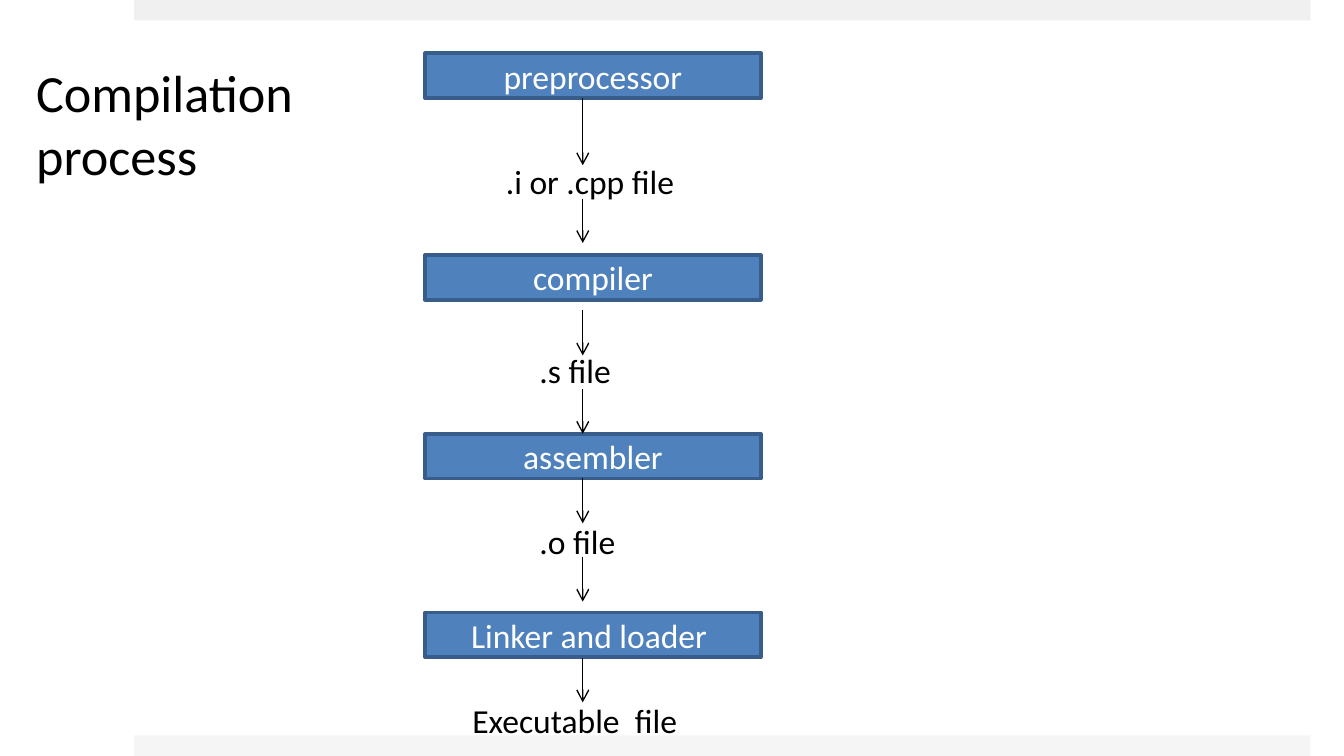
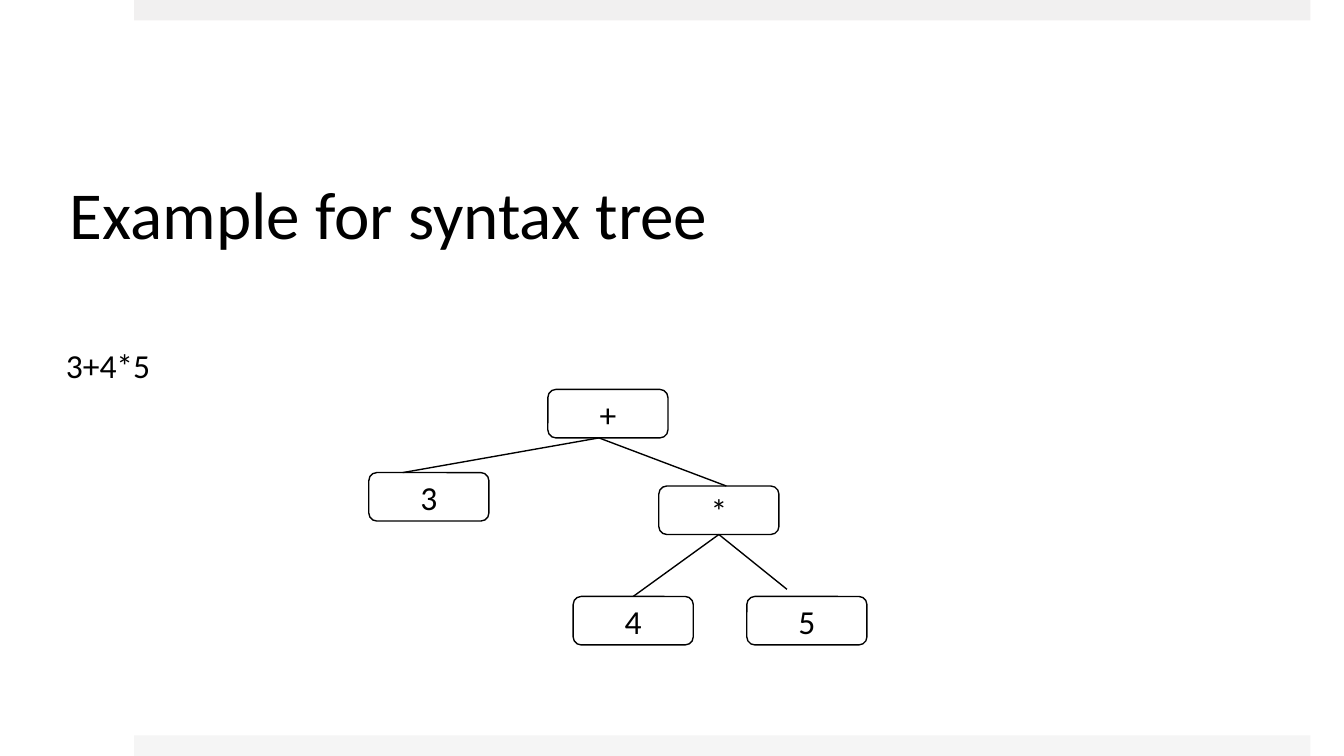
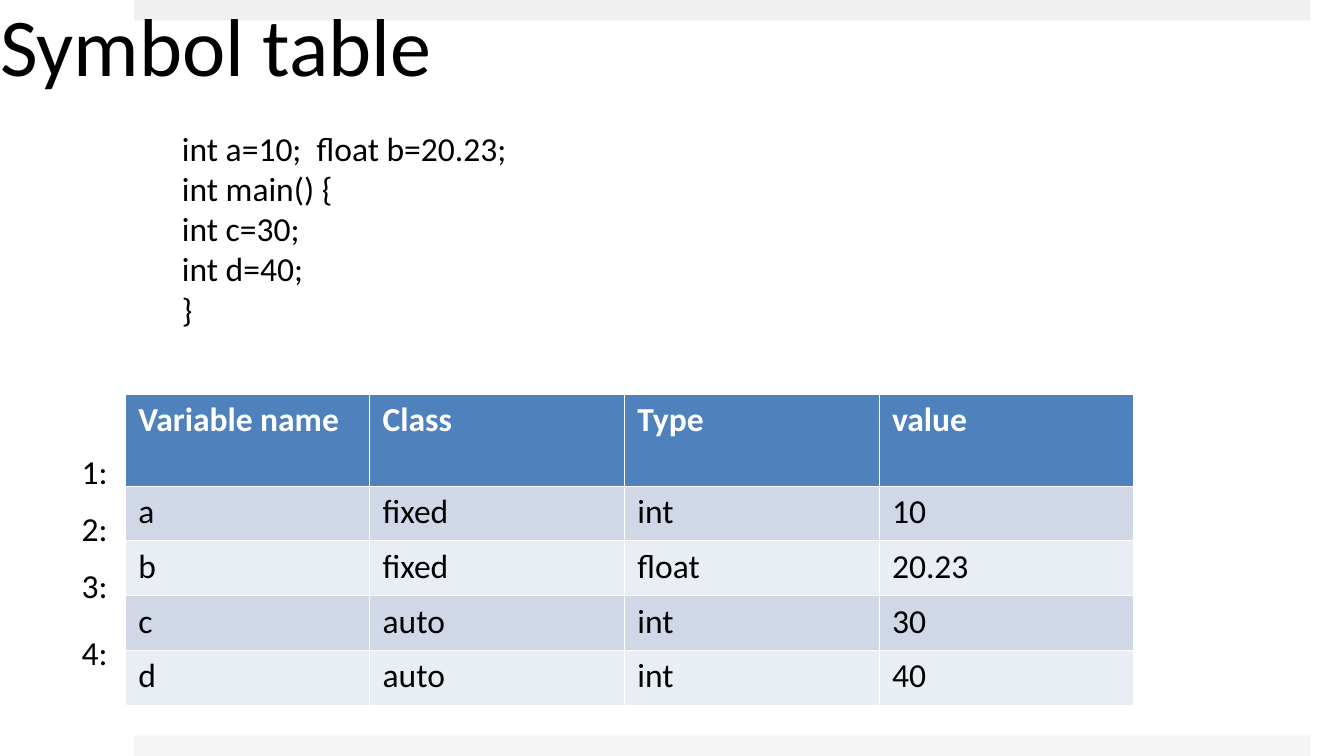
from dataclasses import dataclass

from lxml.etree import SubElement
from pptx import Presentation
from pptx.dml.color import RGBColor
from pptx.enum.shapes import MSO_CONNECTOR, MSO_SHAPE
from pptx.enum.text import MSO_ANCHOR, MSO_AUTO_SIZE, PP_ALIGN
from pptx.oxml import parse_xml
from pptx.oxml.ns import nsdecls, qn
from pptx.shapes.autoshape import Shape
from pptx.shapes.connector import Connector
from pptx.slide import Slide, SlideLayout
from pptx.text.text import TextFrame
from pptx.util import Pt

COLORS = {
    "black": "000000",
    "white": "FFFFFF",
    "blue": "4F81BD",
    "outline": "385D8A",
    "odd_row": "D0D8E8",
    "even_row": "E9EDF4",
    "top_band": "F1F0F0",
    "bottom_band": "F5F5F5",
}
FONT = "Calibri"
BODY_SIZE = 18
PAGE_WIDTH, PAGE_HEIGHT = 720.72, 405.36
BAND_HEIGHT = 11


@dataclass(frozen=True)
class Area:
    left: float
    top: float
    width: float
    height: float

    def lengths(self) -> tuple[Pt, Pt, Pt, Pt]:
        return Pt(self.left), Pt(self.top), Pt(self.width), Pt(self.height)


@dataclass(frozen=True)
class Label:
    text: str
    area: Area


@dataclass(frozen=True)
class BoxStyle:
    shape: MSO_SHAPE
    fill: str
    line: str
    line_width: float
    font: str
    wrap: bool


@dataclass(frozen=True)
class Branch:
    start: tuple[float, float]
    end: tuple[float, float]
    parent: str = ""
    child: str = ""


STAGE_STYLE = BoxStyle(MSO_SHAPE.RECTANGLE, "blue", "outline", 2, "white", True)
NODE_STYLE = BoxStyle(MSO_SHAPE.ROUNDED_RECTANGLE, "white", "black", 0.75, "black", False)

STAGES = [
    Label(text, Area(228, top, 180, 24))
    for text, top in [
        ("preprocessor", 28.6),
        ("compiler", 136.8),
        ("assembler", 232.6),
        ("Linker and loader ", 328.4),
    ]
]
FILES = [
    Label(".i or .cpp file", Area(264.2, 82.8, 114, 29)),
    Label(".s file", Area(282.2, 184.3, 90, 29)),
    Label(".o file", Area(282.2, 275.8, 90, 29)),
    Label("Executable  file", Area(246.2, 371.5, 156, 29)),
]
ARROW_LEFT = 312.5
ARROW_SPANS = [
    (52.6, 88.6),
    (106.6, 130.3),
    (166.3, 190.6),
    (208.8, 232.6),
    (256.3, 280.6),
    (298.8, 322.6),
    (352.8, 376.6),
]

NODES = [
    Label(text, Area(left, top, 64.4, 26))
    for text, left, top in [
        ("+", 293.8, 208.8),
        ("3", 197.8, 253.4),
        ("*", 353.3, 260.6),
        ("4", 307.4, 319.8),
        ("5", 400.5, 319.8),
    ]
]
BRANCHES = [
    Branch((321.2, 234.8), (216, 253.4)),
    Branch((321.2, 234.8), (389.5, 260.6)),
    Branch((385.5, 286.6), (339.6, 319.8), "*", "4"),
    Branch((385.5, 286.6), (422, 316), "*"),
]

CODE = ["int a=10;  float b=20.23;", "int main() {", "int c=30;", "int d=40;", "}"]
SYMBOLS = [
    ("Variable name", "Class", "Type", "value"),
    ("a", "fixed", "int", "10"),
    ("b", "fixed", "float", "20.23"),
    ("c", "auto", "int", "30"),
    ("d", "auto", "int", "40"),
]
COLUMN_WIDTHS = [131, 136.6, 136.6, 136.6]
ROW_HEIGHTS = [49.2] + [29.4] * 4
ROW_NUMBER_TOPS = [238.3, 268.6, 299.5, 335.5]


def color(name: str) -> RGBColor:
    return RGBColor.from_string(COLORS[name])


def write(
    frame: TextFrame,
    lines: list[str],
    size: float = BODY_SIZE,
    font: str = "black",
    align: PP_ALIGN = PP_ALIGN.LEFT,
) -> None:
    frame.text = "\n".join(lines)
    for para in frame.paragraphs:
        para.alignment = align
        para.font.name = FONT
        para.font.size = Pt(size)
        para.font.color.rgb = color(font)


def add_title(page: Slide, text: str, area: Area, size: float) -> TextFrame:
    title = page.shapes.title
    title.left, title.top, title.width, title.height = area.lengths()
    frame = title.text_frame
    frame.auto_size = MSO_AUTO_SIZE.NONE
    frame.vertical_anchor = MSO_ANCHOR.TOP
    write(frame, [text], size)
    return frame


def add_text(page: Slide, lines: list[str], area: Area) -> None:
    frame = page.shapes.add_textbox(*area.lengths()).text_frame
    frame.word_wrap = True
    write(frame, lines)


def add_box(page: Slide, label: Label, style: BoxStyle) -> Shape:
    box = page.shapes.add_shape(style.shape, *label.area.lengths())
    box.shadow.inherit = False
    box.fill.solid()
    box.fill.fore_color.rgb = color(style.fill)
    box.line.color.rgb = color(style.line)
    box.line.width = Pt(style.line_width)
    frame = box.text_frame
    frame.word_wrap = style.wrap
    frame.vertical_anchor = MSO_ANCHOR.MIDDLE
    write(frame, [label.text], font=style.font, align=PP_ALIGN.CENTER)
    return box


def add_line(
    page: Slide, start: tuple[float, float], end: tuple[float, float], arrow: bool = False
) -> Connector:
    points = [Pt(value) for value in (*start, *end)]
    line = page.shapes.add_connector(MSO_CONNECTOR.STRAIGHT, *points)
    line.line.color.rgb = color("black")
    line.line.width = Pt(0.75)
    if arrow:
        SubElement(line.get_or_add_ln(), qn("a:tailEnd"), type="arrow")
    SubElement(line.element.spPr, qn("a:effectLst"))
    return line


def add_bands(page: Slide, layout: SlideLayout) -> None:
    bands = [("top_band", 0), ("bottom_band", PAGE_HEIGHT - BAND_HEIGHT)]
    for name, top in bands:
        area = Area(72, top, 630.72, BAND_HEIGHT)
        band = page.shapes.add_shape(MSO_SHAPE.RECTANGLE, *area.lengths())
        band.shadow.inherit = False
        band.fill.solid()
        band.fill.fore_color.rgb = color(name)
        band.line.fill.background()
        layout.shapes.element.insert(2, band.element)


def add_symbol_table(page: Slide) -> None:
    area = Area(67, 211.2, sum(COLUMN_WIDTHS), sum(ROW_HEIGHTS))
    holder = page.shapes.add_table(len(SYMBOLS), len(COLUMN_WIDTHS), *area.lengths())
    table = holder.table
    table.horz_banding = False
    for column, width in zip(table.columns, COLUMN_WIDTHS):
        column.width = Pt(width)
    for index, (row, height, values) in enumerate(zip(table.rows, ROW_HEIGHTS, SYMBOLS)):
        row.height = Pt(height)
        header = index == 0
        fill = "blue" if header else "odd_row" if index % 2 else "even_row"
        for cell, value in zip(row.cells, values):
            cell.fill.solid()
            cell.fill.fore_color.rgb = color(fill)
            write(cell.text_frame, [value], font="white" if header else "black")
            para = cell.text_frame.paragraphs[0]
            para.font.bold = header
            para.line_spacing = 0.95
    for properties in holder.element.iter(qn("a:tcPr")):
        for position, side in enumerate(("lnL", "lnR", "lnT", "lnB")):
            border = parse_xml(
                f'<a:{side} {nsdecls("a")} w="{Pt(0.11)}"><a:solidFill>'
                f'<a:srgbClr val="{COLORS["white"]}"/></a:solidFill></a:{side}>'
            )
            properties.insert(position, border)


def build_compilation(page: Slide) -> None:
    add_title(page, "Compilation process", Area(12.2, 28.8, 203, 75), 28)
    for stage in STAGES:
        add_box(page, stage, STAGE_STYLE)
    for file in FILES:
        add_text(page, [file.text], file.area)
    for top, bottom in ARROW_SPANS:
        add_line(page, (ARROW_LEFT, top), (ARROW_LEFT, bottom), arrow=True)


def build_syntax_tree(page: Slide) -> None:
    add_title(page, "Example for syntax tree", Area(30.2, 88.6, 519, 50.4), 36)
    boxes = {node.text: add_box(page, node, NODE_STYLE) for node in NODES}
    for branch in BRANCHES:
        line = add_line(page, branch.start, branch.end)
        if branch.parent:
            line.begin_connect(boxes[branch.parent], 2)
        if branch.child:
            line.end_connect(boxes[branch.child], 0)
    add_text(page, ["3+4*5"], Area(28.2, 181.4, 193, 29))


def build_symbol_table(page: Slide) -> None:
    frame = add_title(page, "Symbol table", Area(0, 0, PAGE_WIDTH, 46.8), 44)
    frame.vertical_anchor = MSO_ANCHOR.MIDDLE
    frame.margin_left = frame.margin_top = frame.margin_right = frame.margin_bottom = 0
    add_symbol_table(page)
    for number, top in enumerate(ROW_NUMBER_TOPS, start=1):
        add_text(page, [f"{number}:"], Area(36.7, top, 54, 29))
    add_text(page, CODE, Area(90.5, 64.8, 438, 115))


def main() -> None:
    deck = Presentation()
    deck.slide_width, deck.slide_height = Pt(PAGE_WIDTH), Pt(PAGE_HEIGHT)
    layout = deck.slide_layouts[5]
    builders = [build_compilation, build_syntax_tree, build_symbol_table]
    pages = [deck.slides.add_slide(layout) for _ in builders]
    add_bands(pages[0], layout)
    for page, build in zip(pages, builders):
        build(page)
    deck.save("out.pptx")


if __name__ == "__main__":
    main()
